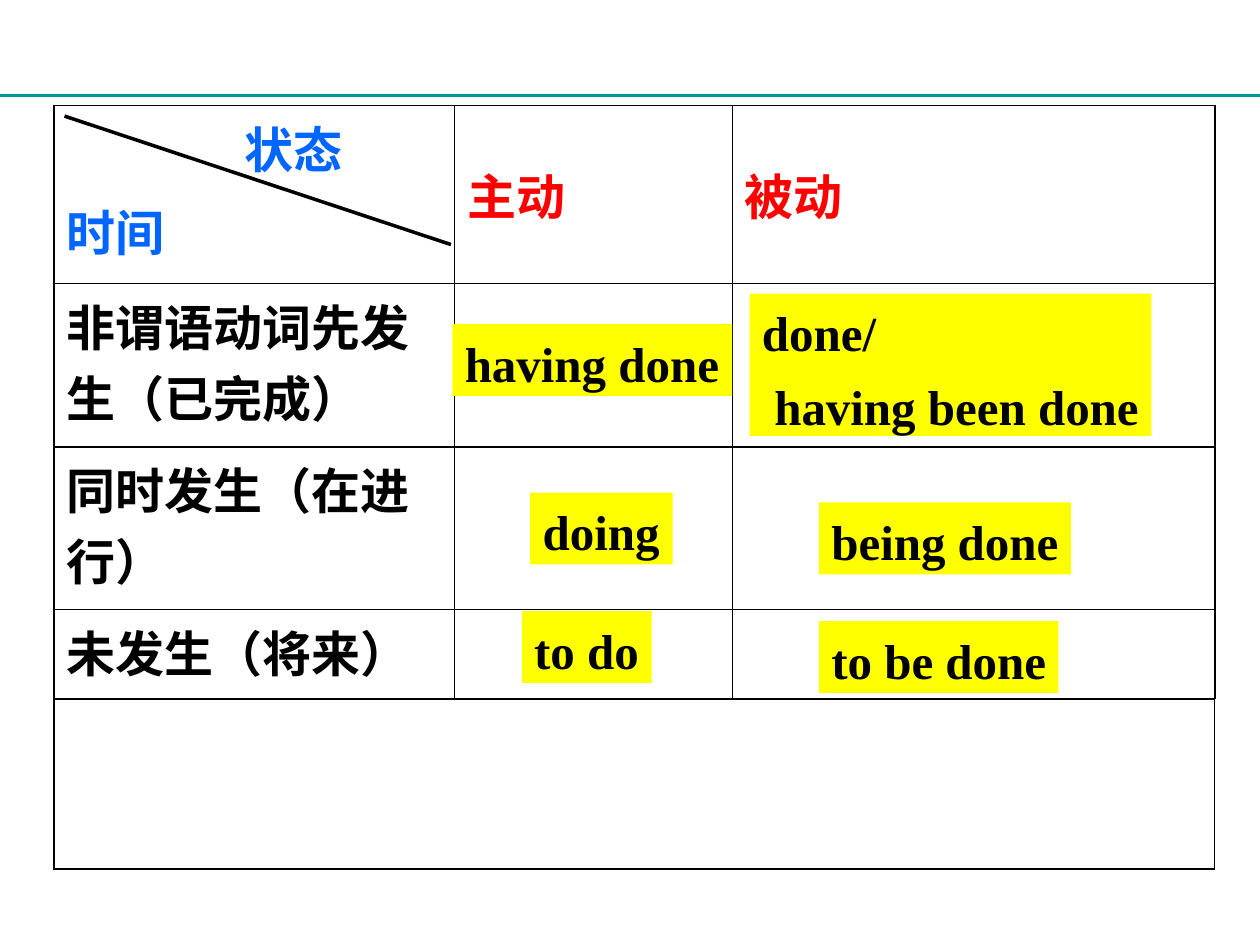
from lxml import etree
from pptx import Presentation
from pptx.dml.color import RGBColor
from pptx.enum.shapes import MSO_CONNECTOR
from pptx.enum.text import MSO_ANCHOR, MSO_AUTO_SIZE
from pptx.oxml.ns import qn
from pptx.util import Cm, Pt

STRAIGHT = MSO_CONNECTOR.STRAIGHT
TOP, MIDDLE = MSO_ANCHOR.TOP, MSO_ANCHOR.MIDDLE
FIT_SHAPE = MSO_AUTO_SIZE.SHAPE_TO_FIT_TEXT

FONT = "Times New Roman"
SIZE = Pt(28)
COLORS = {"black": "000000", "blue": "0066FF", "red": "FF0000",
          "yellow": "FFFF00", "teal": "009999"}

# Paragraphs are (text, indent in cm)
TABLE_LEFT, TABLE_TOP = 1.09, 2.13
COL_WIDTHS = [8.08, 5.59, 9.73]
ROW_HEIGHTS = [3.58, 3.3, 3.28, 1.8, 3.43]
CELLS = [  # row, column, paragraphs, colour, anchor
    (0, 0, [("状态", 3.58), ("时间", 0)], "blue", TOP),
    (0, 1, [("主动", 0)], "red", MIDDLE),
    (0, 2, [("被动", 0)], "red", MIDDLE),
    (1, 0, [("非谓语动词先发生（已完成）", 0)], "black", TOP),
    (2, 0, [("同时发生（在进行）", 0)], "black", TOP),
    (3, 0, [("未发生（将来）", 0)], "black", TOP),
]
LINES = [  # x1, y1, x2, y2, colour, width
    (0, 1.93, 25.4, 1.93, "teal", 1.5),
    (1.3, 2.34, 9.09, 4.93, "black", 2),
]
ANSWERS = [  # left, top, width, height, paragraphs
    (9.12, 6.53, 5.64, 1.45, [("having done", 0)]),
    (15.11, 5.92, 8.1, 2.87, [("done/", 0), ("having been done", 0.25)]),
    (10.69, 9.93, 2.87, 1.45, [("doing", 0)]),
    (16.51, 10.13, 5.08, 1.45, [("being done", 0)]),
    (10.52, 12.32, 2.62, 1.45, [("to do", 0)]),
    (16.51, 12.52, 4.83, 1.45, [("to be done", 0)]),
]


def rgb(name):
    return RGBColor.from_string(COLORS[name])


def write(tf, paragraphs, color, line_spacing=1.0):
    tf.text = "\n".join(text for text, _ in paragraphs)
    for i, (p, (_, indent)) in enumerate(zip(tf.paragraphs, paragraphs)):
        if indent:
            p._p.get_or_add_pPr().set("marL", str(Cm(indent)))
        p.line_spacing = line_spacing
        p.space_before = Pt(7 if i else 0)
        for r in p.runs:
            r.font.name, r.font.size, r.font.bold = FONT, SIZE, True
            r.font.color.rgb = rgb(color)


def set_borders(cell, widths):
    """Draw black cell borders; widths maps L, R, T, B to points."""
    tcPr = cell._tc.get_or_add_tcPr()
    for side, width in widths.items():
        ln = etree.SubElement(tcPr, qn(f"a:ln{side}"), w=str(Pt(width)))
        fill = etree.SubElement(ln, qn("a:solidFill"))
        etree.SubElement(fill, qn("a:srgbClr"), val=COLORS["black"])


def add_line(slide, x1, y1, x2, y2, color, width):
    line = slide.shapes.add_connector(STRAIGHT, Cm(x1), Cm(y1), Cm(x2), Cm(y2))
    line.line.color.rgb = rgb(color)
    line.line.width = Pt(width)
    etree.SubElement(line._element.spPr, qn("a:effectLst"))


def add_grid(slide):
    rows, cols = len(ROW_HEIGHTS), len(COL_WIDTHS)
    table = slide.shapes.add_table(
        rows, cols, Cm(TABLE_LEFT), Cm(TABLE_TOP),
        Cm(sum(COL_WIDTHS)), Cm(sum(ROW_HEIGHTS))).table
    table.first_row = table.horz_banding = False
    for column, width in zip(table.columns, COL_WIDTHS):
        column.width = Cm(width)
    for row, height in zip(table.rows, ROW_HEIGHTS):
        row.height = Cm(height)

    inner, outer = 0.75, 1.08
    for r in range(rows):
        for c in range(cols):
            cell = table.cell(r, c)
            set_borders(cell, {
                "L": outer if c == 0 else inner,
                "R": outer if c == cols - 1 else inner,
                "T": outer if r == 0 else inner,
                "B": outer if r == rows - 1 else inner,
            })
            cell.fill.background()
    table.cell(rows - 1, 0).merge(table.cell(rows - 1, cols - 1))

    for r, c, paragraphs, color, anchor in CELLS:
        cell = table.cell(r, c)
        cell.vertical_anchor = anchor
        write(cell.text_frame, paragraphs, color)


def add_answer(slide, left, top, width, height, paragraphs):
    sp = slide.shapes.add_textbox(Cm(left), Cm(top), Cm(width), Cm(height))
    sp.fill.solid()
    sp.fill.fore_color.rgb = rgb("yellow")
    tf = sp.text_frame
    tf.word_wrap = False
    tf.auto_size = FIT_SHAPE
    write(tf, paragraphs, "black", line_spacing=1.05)


def main():
    prs = Presentation()
    prs.slide_width, prs.slide_height = Cm(25.4), Cm(19.05)
    slide = prs.slides.add_slide(prs.slide_layouts[6])
    add_grid(slide)
    for line in LINES:
        add_line(slide, *line)
    for answer in ANSWERS:
        add_answer(slide, *answer)
    prs.save("out.pptx")


if __name__ == "__main__":
    main()
